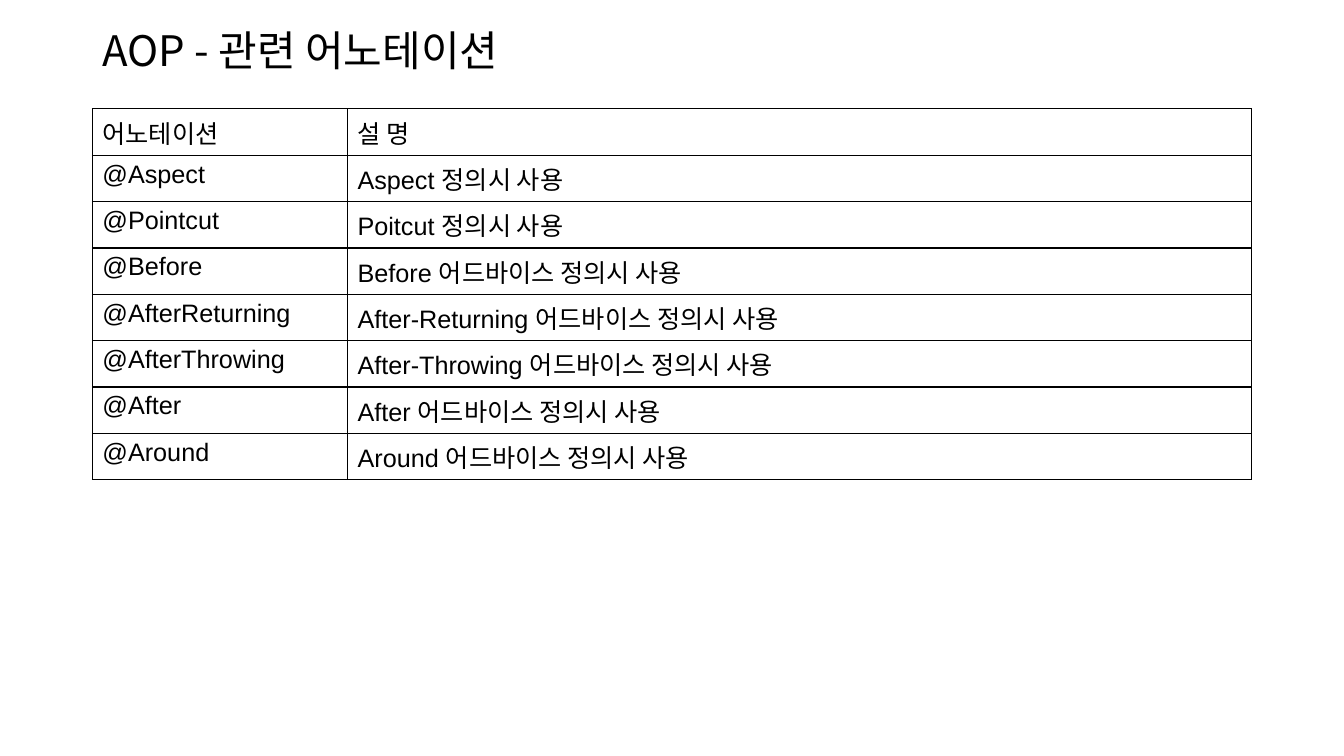
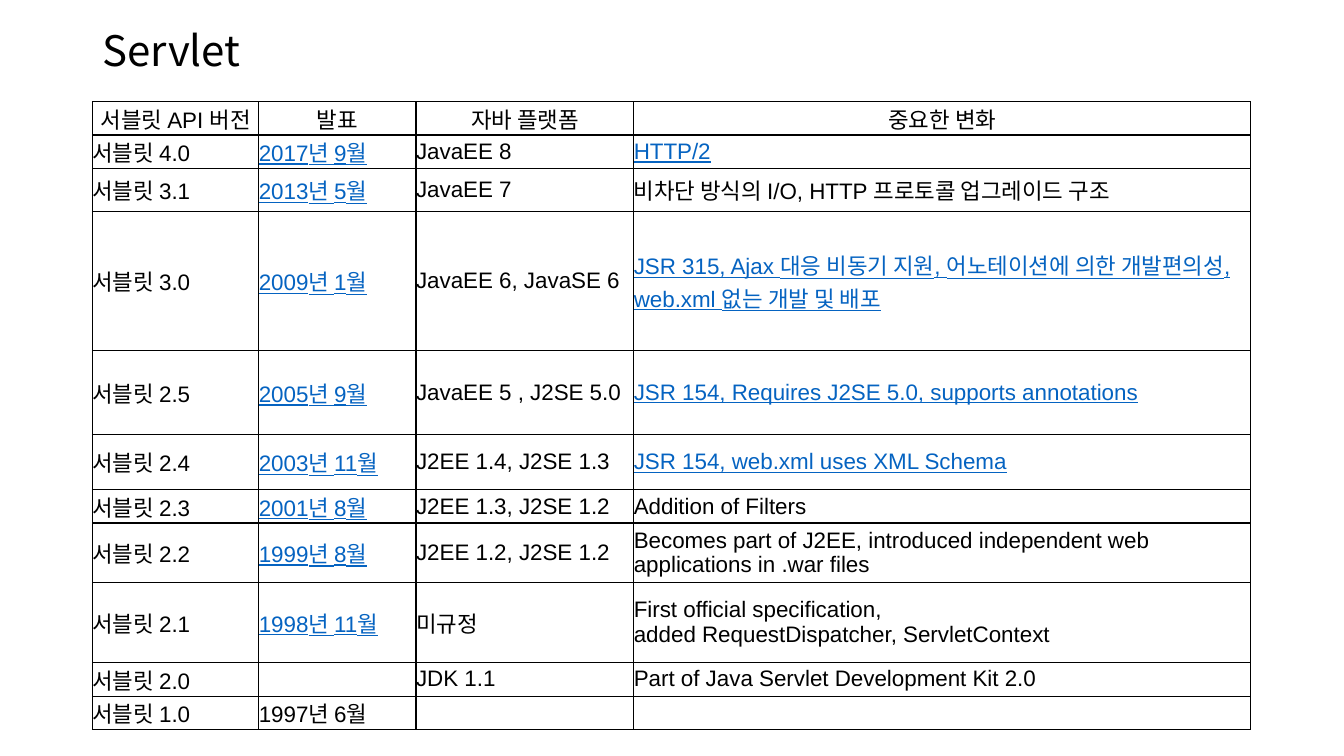
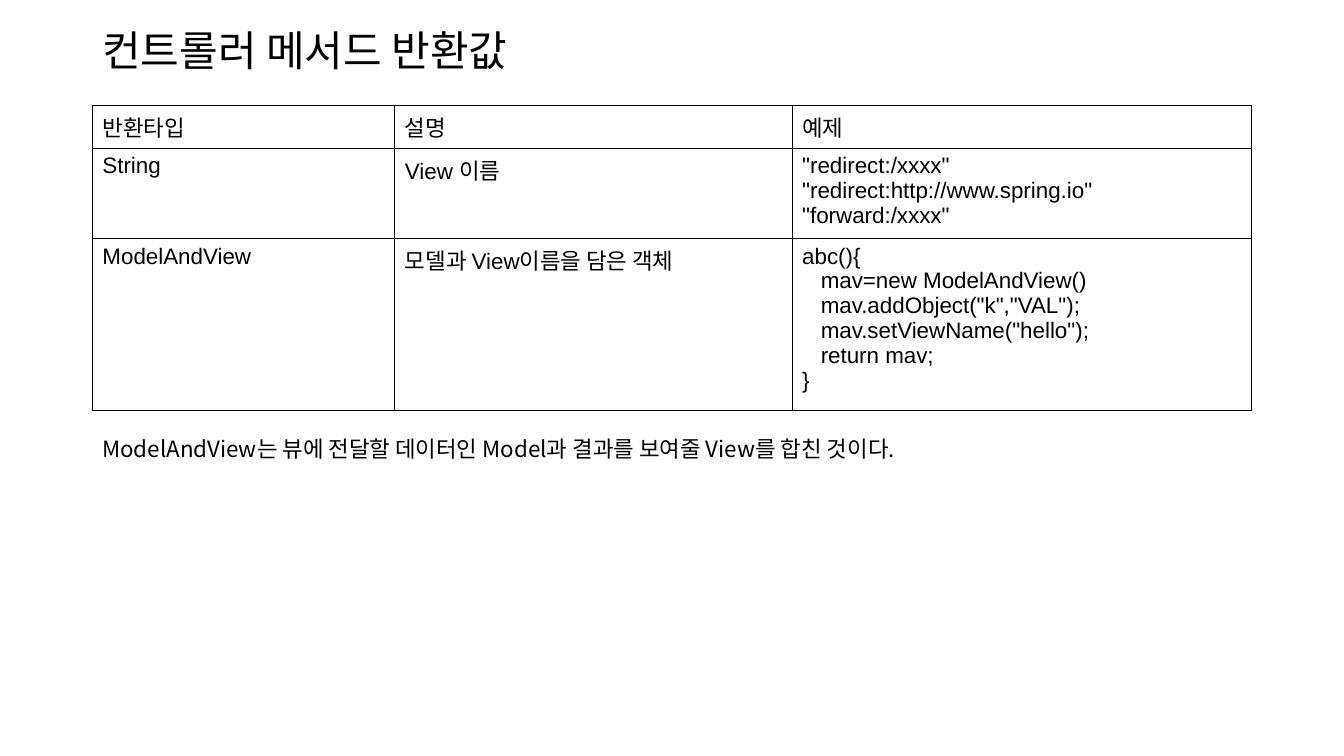
import pptx
import pptx.dml.color
import pptx.enum.text
import pptx.oxml
import pptx.oxml.ns
import pptx.util

In, Pt = pptx.util.Inches, pptx.util.Pt
ALIGN = pptx.enum.text.PP_ALIGN
ANCHOR = pptx.enum.text.MSO_ANCHOR

# Shared look
COLORS = {"text": "000000", "link": "0563C1", "border": "000000"}
KOREAN, LATIN = "Noto Sans CJK KR", "Arial"
SLIDE_W, SLIDE_H = 13.33, 7.5
LEFT, CONTENT_W = 11 / 12, 11.5
PADDING = (0.1, 0.05)
NBSP = chr(160)  # no-break space


def write(tf, text, size=16, font=LATIN, color="text", underline=None,
          align=ALIGN.LEFT, spacing=None):
    """Fill a text frame, one paragraph for each line of text."""
    for i, line in enumerate(text.split("\n")):
        p = tf.add_paragraph() if i else tf.paragraphs[0]
        p.alignment = align
        p._p.get_or_add_pPr().set("hangingPunct", "0")
        if spacing:
            p.line_spacing = spacing
        r = p.add_run()
        r.text = line
        r.font.size, r.font.name, r.font.underline = Pt(size), font, underline
        r.font.color.rgb = pptx.dml.color.RGBColor.from_string(COLORS[color])
        ea = pptx.oxml.parse_xml(
            f'<a:ea {pptx.oxml.ns.nsdecls("a")} typeface="{KOREAN}"/>')
        r.font._element.append(ea)


def add_text(s, text, top, height, anchor=ANCHOR.TOP, **fmt):
    sp = s.shapes.add_textbox(In(LEFT), In(top), In(CONTENT_W), In(height))
    tf = sp.text_frame
    tf.word_wrap = True
    tf.vertical_anchor = anchor
    write(tf, text, font=KOREAN, **fmt)


def add_borders(cell, width=1):
    tc_pr = cell._tc.get_or_add_tcPr()
    for side in "LRTB":
        tc_pr.append(pptx.oxml.parse_xml(
            f'<a:ln{side} {pptx.oxml.ns.nsdecls("a")} w="{Pt(width)}"><a:solidFill>'
            f'<a:srgbClr val="{COLORS["border"]}"/></a:solidFill></a:ln{side}>'))


def add_grid(s, rows, top, widths, heights, size=16, padding=PADDING,
             anchor=ANCHOR.TOP, head_align=ALIGN.LEFT, links=()):
    """Bordered table; links holds the (row, column) of link-styled cells."""
    frame = s.shapes.add_table(len(rows), len(widths), In(LEFT), In(top),
                               In(CONTENT_W), In(sum(heights)))
    table = frame.table
    table.first_row = table.horz_banding = False
    for column, width in zip(table.columns, widths):
        column.width = In(width)
    for i, (row, height) in enumerate(zip(rows, heights)):
        table.rows[i].height = In(height)
        for j, text in enumerate(row):
            cell = table.cell(i, j)
            cell.margin_left = cell.margin_right = In(padding[0])
            cell.margin_top = cell.margin_bottom = In(padding[1])
            cell.vertical_anchor = anchor
            add_borders(cell)
            cell.fill.background()
            linked = (i, j) in links
            write(cell.text_frame, text, size=size,
                  color="link" if linked else "text", underline=linked or None,
                  align=ALIGN.LEFT if i else head_align)


def add_slide(prs, title):
    s = prs.slides.add_slide(prs.slide_layouts[6])
    add_text(s, title, 0.15, 0.76, anchor=ANCHOR.MIDDLE, size=30, spacing=0.9)
    return s


# Slide contents
ANNOTATIONS = [
    ("어노테이션", "설 명"),
    ("@Aspect", "Aspect 정의시 사용"),
    ("@Pointcut", "Poitcut 정의시 사용"),
    ("@Before", "Before 어드바이스 정의시 사용"),
    ("@AfterReturning", "After-Returning 어드바이스 정의시 사용"),
    ("@AfterThrowing", "After-Throwing 어드바이스 정의시 사용"),
    ("@After", "After 어드바이스 정의시 사용"),
    ("@Around", "Around 어드바이스 정의시 사용"),
]

VERSIONS = [
    ("서블릿 API 버전", "발표", "자바 플랫폼", "중요한 변화"),
    ("서블릿 4.0", "2017년 9월", "JavaEE 8", "HTTP/2"),
    ("서블릿 3.1", "2013년 5월", "JavaEE 7",
     "비차단 방식의 I/O, HTTP 프로토콜 업그레이드 구조"),
    ("서블릿 3.0", "2009년 1월", "JavaEE 6, JavaSE 6",
     f"JSR{NBSP}315, Ajax 대응 비동기 지원, 어노테이션에 의한 개발편의성, "
     "web.xml 없는 개발 및 배포"),
    ("서블릿 2.5", "2005년 9월", "JavaEE 5 , J2SE 5.0",
     f"JSR{NBSP}154, Requires J2SE 5.0, supports annotations"),
    ("서블릿 2.4", "2003년 11월", "J2EE 1.4, J2SE 1.3",
     f"JSR{NBSP}154, web.xml uses XML Schema"),
    ("서블릿 2.3", "2001년 8월", "J2EE 1.3, J2SE 1.2", f"Addition of{NBSP}Filters"),
    ("서블릿 2.2", "1999년 8월", "J2EE 1.2, J2SE 1.2",
     "Becomes part of J2EE, introduced independent web applications in .war files"),
    ("서블릿 2.1", "1998년 11월", "미규정",
     f"First official specification, added{NBSP}RequestDispatcher,{NBSP}ServletContext"),
    ("서블릿 2.0", "", "JDK 1.1", "Part of Java Servlet Development Kit 2.0"),
    ("서블릿 1.0", "1997년 6월", "", ""),
]
VERSION_LINKS = {(i, 1) for i in range(1, 9)} | {(i, 3) for i in (1, 3, 4, 5)}

RETURN_TYPES = [
    ("반환타입", "설명", "예제"),
    ("String", "View 이름",
     '"redirect:/xxxx"\n"redirect:http://www.spring.io"\n"forward:/xxxx"'),
    ("ModelAndView", "모델과 View이름을 담은 객체",
     'abc(){\n   mav=new ModelAndView()\n   mav.addObject("k","VAL");\n'
     '   mav.setViewName("hello");\n   return mav;\n}'),
]


def main():
    prs = pptx.Presentation()
    prs.slide_width, prs.slide_height = In(SLIDE_W), In(SLIDE_H)

    # Annotations
    s = add_slide(prs, "AOP - 관련 어노테이션")
    add_grid(s, ANNOTATIONS, 1.08, [2.53, 8.97], [0.46] * len(ANNOTATIONS), size=18)

    # Servlet versions
    s = add_slide(prs, "Servlet")
    add_grid(s, VERSIONS, 1.01, [1.65, 1.56, 2.16, 6.12],
             [0.33, 0.33, 0.43, 1.38, 0.83, 0.55, 0.33, 0.59, 0.79, 0.34, 0.33],
             padding=(0, 0), anchor=ANCHOR.MIDDLE, head_align=ALIGN.CENTER,
             links=VERSION_LINKS)

    # Return values
    s = add_slide(prs, "컨트롤러 메서드 반환값")
    add_grid(s, RETURN_TYPES, 1.05, [3, 3.94, 4.56], [0.42, 0.84, 1.58])
    add_text(s, "ModelAndView는 뷰에 전달할 데이터인 Model과 결과를 보여줄 View를 합친 것이다.",
             4.21, 2.54, spacing=1.2)

    prs.save("out.pptx")


if __name__ == "__main__":
    main()
